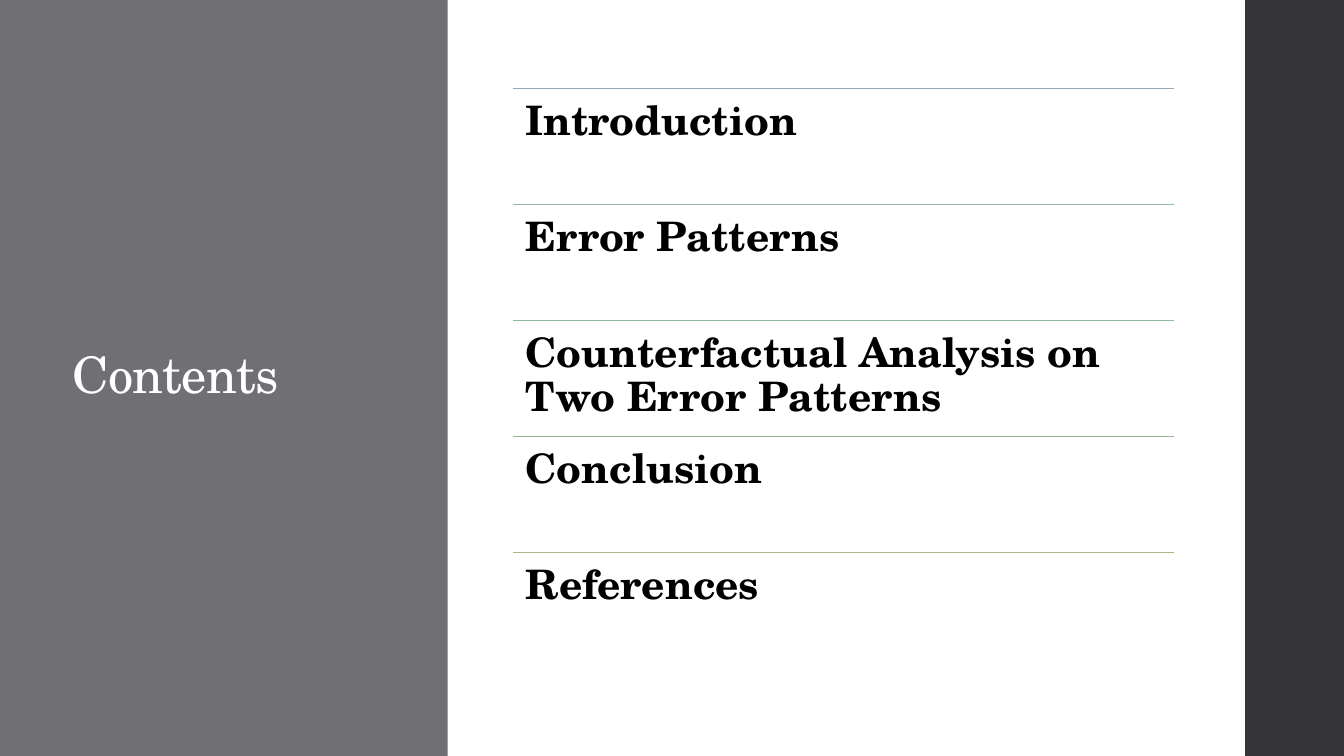
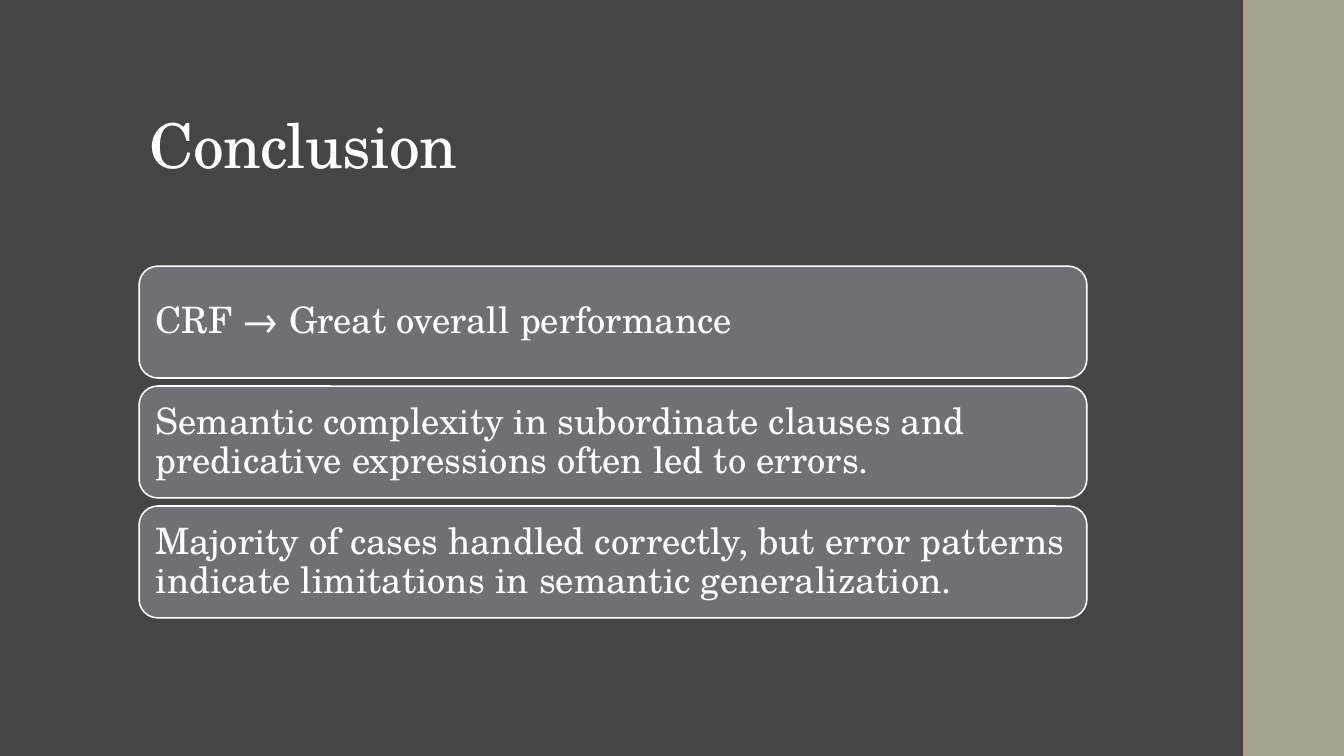
from lxml import etree
from pptx import Presentation
from pptx.dml.color import RGBColor
from pptx.enum.shapes import MSO_CONNECTOR, MSO_SHAPE
from pptx.enum.text import MSO_ANCHOR, MSO_AUTO_SIZE, PP_ALIGN
from pptx.oxml.ns import qn
from pptx.util import Inches, Pt

RECTANGLE, ROUNDED = MSO_SHAPE.RECTANGLE, MSO_SHAPE.ROUNDED_RECTANGLE
STRAIGHT = MSO_CONNECTOR.STRAIGHT
TOP, MIDDLE, BOTTOM = MSO_ANCHOR.TOP, MSO_ANCHOR.MIDDLE, MSO_ANCHOR.BOTTOM
NO_AUTOFIT = MSO_AUTO_SIZE.NONE
LEFT = PP_ALIGN.LEFT

FONT = "TeX Gyre Schola"
SLIDE_WIDTH, SLIDE_HEIGHT = 13.33, 7.5
TITLE_ONLY = 5
COLORS = {
    "white": "FFFFFF", "black": "000000", "panel": "6F6F74",
    "dark": "454545", "charcoal": "353537", "sand": "A7A192",
    "rule1": "92A9B9", "rule2": "90B8B4", "rule3": "8EB89E",
    "rule4": "91B78B", "rule5": "A7B789",
}


def rgb(name):
    return RGBColor.from_string(COLORS[name])


class Deck:
    """Holds the shared style and the current slide."""

    def __init__(self):
        self.presentation = Presentation()
        self.presentation.slide_width = Inches(SLIDE_WIDTH)
        self.presentation.slide_height = Inches(SLIDE_HEIGHT)
        self.slide = None

    def new_slide(self, background):
        layout = self.presentation.slide_layouts[TITLE_ONLY]
        self.slide = self.presentation.slides.add_slide(layout)
        fill = self.slide.background.fill
        fill.solid()
        fill.fore_color.rgb = rgb(background)

    def set_text(self, shape, text, size, color, anchor, bold=False):
        frame = shape.text_frame
        frame.text = text
        frame.word_wrap = True
        frame.auto_size = NO_AUTOFIT
        frame.vertical_anchor = anchor
        paragraph = frame.paragraphs[0]
        paragraph.alignment = LEFT
        paragraph.line_spacing = 0.9
        font = paragraph.font
        font.name, font.size, font.bold = FONT, Pt(size), bold
        font.color.rgb = rgb(color)
        return frame

    def set_insets(self, frame, inset):
        frame.margin_left = frame.margin_right = Inches(inset)
        frame.margin_top = frame.margin_bottom = Inches(inset)

    def title(self, text, left, top, width, height, size, anchor):
        title = self.slide.shapes.title
        title.left, title.top = Inches(left), Inches(top)
        title.width, title.height = Inches(width), Inches(height)
        self.set_text(title, text, size, "white", anchor)
        # Slightly tightened letter spacing
        for properties in title.element.iter(qn("a:defRPr"), qn("a:rPr")):
            properties.set("spc", "-50")

    def box(self, kind, left, top, width, height, fill, line=None):
        shape = self.slide.shapes.add_shape(
            kind, Inches(left), Inches(top), Inches(width), Inches(height))
        shape.shadow.inherit = False
        shape.fill.solid()
        shape.fill.fore_color.rgb = rgb(fill)
        if line:
            shape.line.color.rgb = rgb(line)
            shape.line.width = Pt(1.1)
        else:
            shape.line.fill.background()
        return shape

    def band(self, left, width, fill):
        """Full-height band behind the title."""
        band = self.box(RECTANGLE, left, 0, width, SLIDE_HEIGHT, fill)
        self.slide.shapes.title.element.addprevious(band.element)

    def rule(self, left, top, width, color):
        rule = self.slide.shapes.add_connector(
            STRAIGHT, Inches(left), Inches(top), Inches(left + width), Inches(top))
        rule.line.color.rgb = rgb(color)
        rule.line.width = Pt(1.1)
        etree.SubElement(rule.element.spPr, qn("a:effectLst"))

    def entry(self, text, left, top, width, height):
        box = self.slide.shapes.add_textbox(
            Inches(left), Inches(top), Inches(width), Inches(height))
        frame = self.set_text(box, text, 29, "black", TOP, bold=True)
        self.set_insets(frame, 0.12)

    def card(self, text, left, top, width, height):
        card = self.box(ROUNDED, left, top, width, height, "panel", "white")
        frame = self.set_text(card, text, 26, "white", MIDDLE)
        self.set_insets(frame, 0.11)


def contents_slide(deck):
    deck.new_slide("white")
    deck.band(0, 4.44, "panel")
    deck.band(12.35, SLIDE_WIDTH - 12.35, "charcoal")
    deck.title("Contents", 0.62, 0.91, 2.97, 5.67, 36, MIDDLE)
    # Ruled list
    left, width, pitch = 5.09, 6.55, 1.15
    entries = ["Introduction", "Error Patterns",
               "Counterfactual Analysis on Two Error Patterns",
               "Conclusion", "References"]
    for index, text in enumerate(entries):
        top = 0.88 + index * pitch
        deck.rule(left, top, width, f"rule{index + 1}")
        deck.entry(text, left, top, width, pitch)


def conclusion_slide(deck):
    deck.new_slide("dark")
    deck.band(12.33, 1, "sand")
    deck.title("Conclusion", 1.38, 0.4, 10.6, 1.45, 44, BOTTOM)
    # Stacked statement cards
    height, gap = 1.11, 0.08
    statements = [
        "CRF → Great overall performance",
        "Semantic complexity in subordinate clauses and predicative "
        "expressions often led to errors.",
        "Majority of cases handled correctly, but error patterns indicate "
        "limitations in semantic generalization.",
    ]
    for index, text in enumerate(statements):
        deck.card(text, 1.38, 2.64 + index * (height + gap), 9.4, height)


def main():
    deck = Deck()
    contents_slide(deck)
    conclusion_slide(deck)
    deck.presentation.save("out.pptx")


if __name__ == "__main__":
    main()
